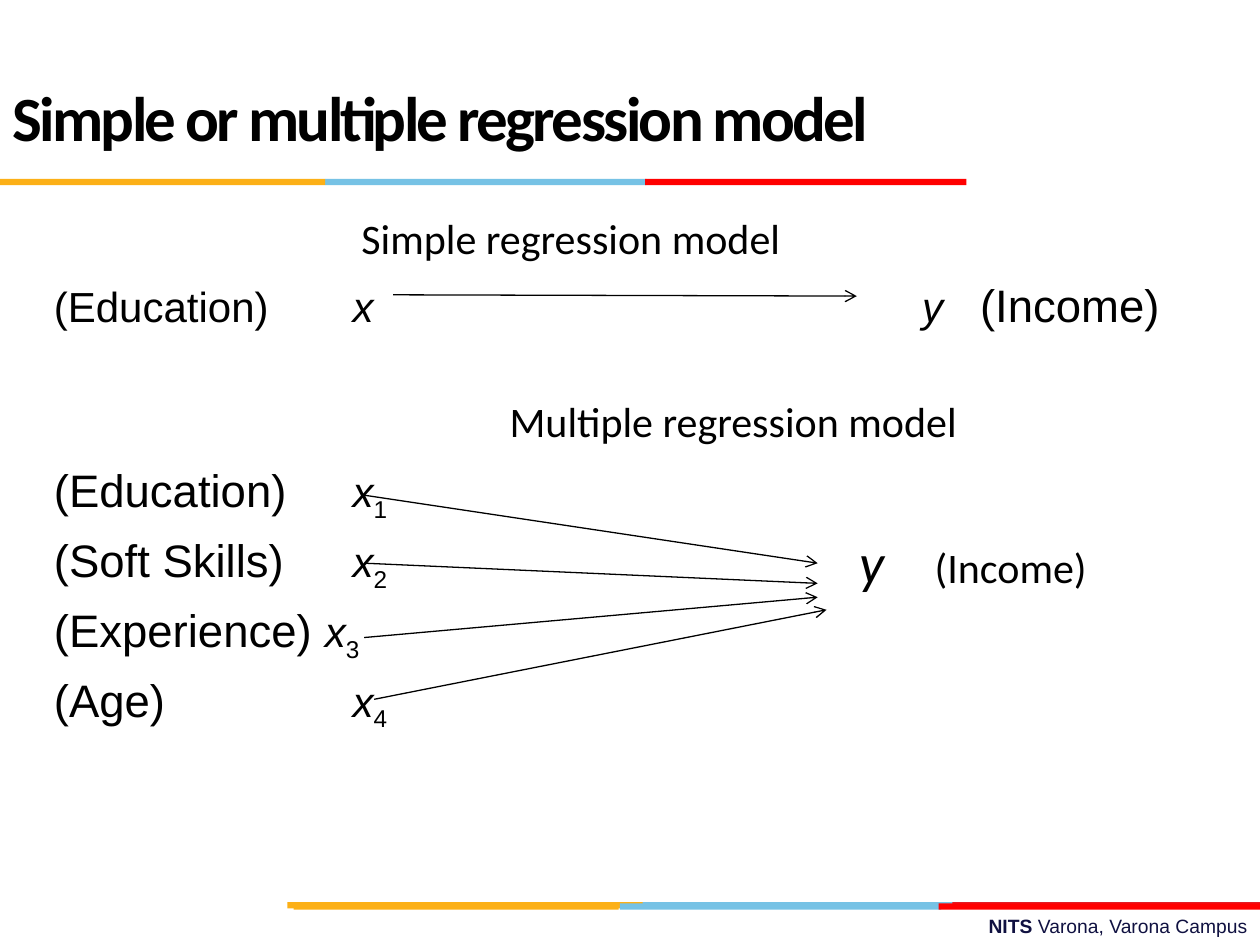
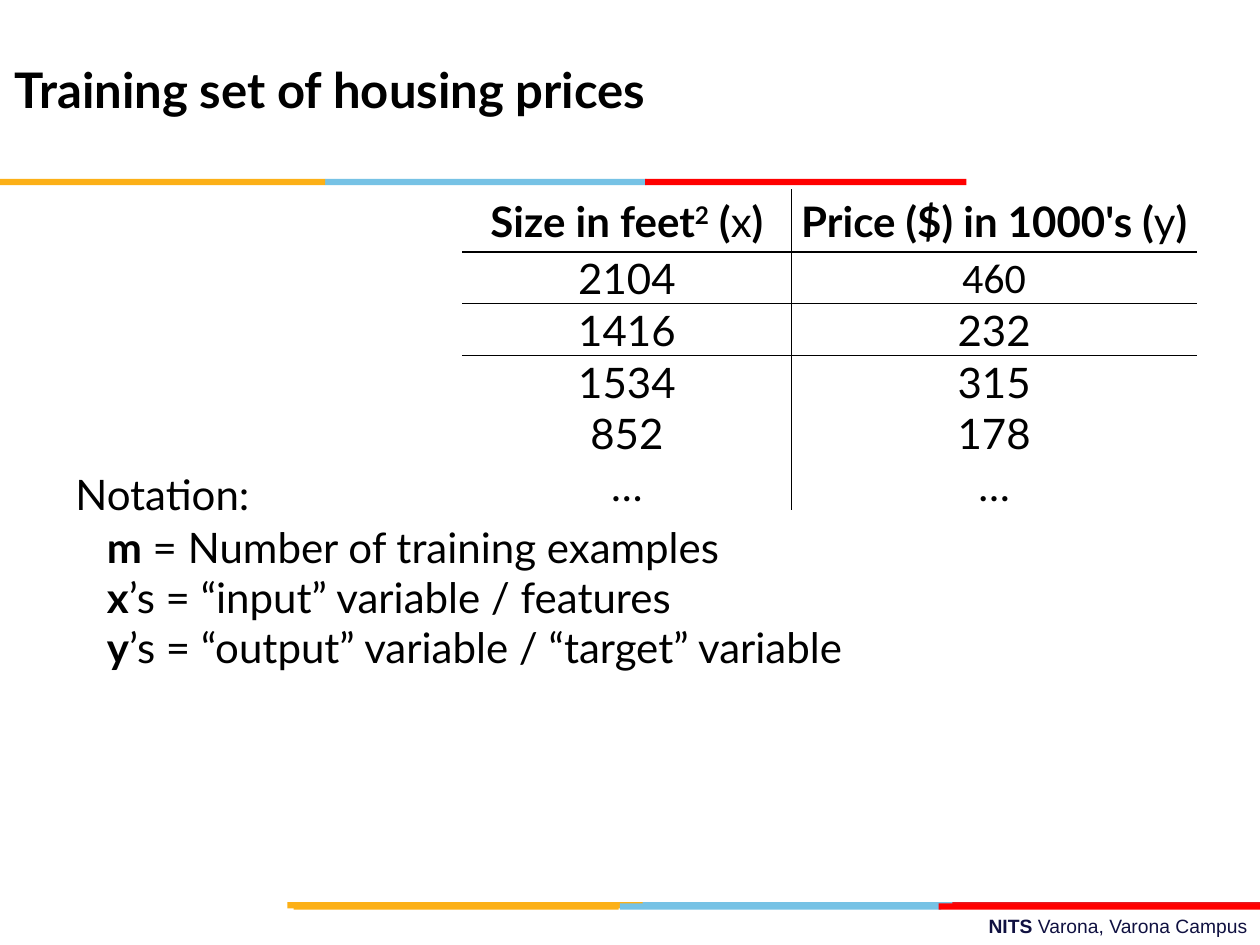
from lxml.etree import SubElement
from pptx import Presentation
from pptx.dml.color import RGBColor
from pptx.enum.shapes import MSO_CONNECTOR, MSO_SHAPE
from pptx.enum.text import MSO_ANCHOR, PP_ALIGN
from pptx.oxml.ns import qn
from pptx.util import Inches, Pt

BLACK = RGBColor(0x00, 0x00, 0x00)
NAVY = RGBColor(0x10, 0x11, 0x41)
YELLOW = RGBColor(0xFC, 0xB0, 0x17)
BLUE = RGBColor(0x76, 0xC2, 0xE5)
RED = RGBColor(0xFF, 0x00, 0x00)
CRIMSON = RGBColor(0xE3, 0x1C, 0x24)

BOLD, PLAIN, ITALIC = {"bold": True}, {"bold": False}, {"italic": True}
SYMBOL = {"italic": True, "size": 24}
SUBSCRIPT = {"size": 24, "baseline": -25000}

BAND_HEIGHT = 0.05
BANDS = [
    (7.16, [(5.06, 2.55, BLUE), (7.56, 2.44, CRIMSON), (2.28, 2.82, YELLOW)]),
    (7.17, [(4.92, 2.55, BLUE), (2.33, 2.58, YELLOW), (7.45, 2.55, RED)]),
    (1.42, [(2.58, 2.55, BLUE), (0, 2.58, YELLOW), (5.12, 2.55, RED)]),
]
FOOTER = [("NITS ", BOLD), ("Varona, Varona Campus", {})]

MODEL_TITLE = "Simple or multiple regression model"
SIMPLE_HEADING = "Simple regression model"
MULTIPLE_HEADING = "Multiple regression model"
SIMPLE_MODEL = [("(Education)\t", {}), ("x\ty\t", ITALIC), ("(Income)", {"size": 26})]
PREDICTORS = [("(Education)", "\t"), ("(Soft Skills)", "\t"), ("(Experience)", " "), ("(Age)", "\t")]
OUTCOME = [("y\t", {"italic": True, "size": 32}), ("(Income)", {})]
SYMBOL_TAB = 2.37
SIMPLE_TABS = [SYMBOL_TAB, 6.89, 7.35]
ARROWS = [
    ((3.12, 2.34), (6.8, 2.35)),
    ((2.89, 3.93), (6.49, 4.47)),
    ((2.89, 4.47), (6.49, 4.63)),
    ((2.89, 5.06), (6.49, 4.74)),
    ((2.97, 5.55), (6.56, 4.84)),
]

HOUSING_TITLE = "Training set of housing prices"
HOUSING_HEADER = [
    [("Size in feet", BOLD), ("2", {"bold": True, "baseline": 30000}), (" (", BOLD), ("x", PLAIN), (")", BOLD)],
    [("Price ($) in 1000's (", BOLD), ("y", PLAIN), (")", BOLD)],
]
HOUSES = [("2104", "460"), ("1416", "232"), ("1534", "315"), ("852", "178"), ("…", "…")]
COLUMN_WIDTHS = [2.61, 3.22]
HEADER_HEIGHT, ROW_HEIGHT = 0.5, 0.41
NO_TABLE_STYLE = "{2D5ABB26-0587-4C30-8999-92F81FD0307C}"
NOTATION = [
    [("Notation:", {})],
    [("m", BOLD), (" = Number of training examples", {})],
    [("x", BOLD), ("’s = “input” variable / features", {})],
    [("y", BOLD), ("’s = “output” variable / “target” variable", {})],
]


def write(paragraph, runs, font, size, color=BLACK, align=PP_ALIGN.LEFT, bold=None):
    paragraph.alignment = align
    paragraph.font.name = font
    paragraph.font.size = Pt(size)
    paragraph.font.bold = bold
    paragraph.font.color.rgb = color
    for text, style in runs:
        run = paragraph.add_run()
        run.text = text
        run.font.bold = style.get("bold")
        run.font.italic = style.get("italic")
        if "size" in style:
            run.font.size = Pt(style["size"])
        for attribute in ("baseline", "spc"):
            if attribute in style:
                run._r.get_or_add_rPr().set(attribute, str(style[attribute]))


def add_text(slide, box, paragraphs, font, size, tabs=(), anchor=MSO_ANCHOR.TOP, **options):
    frame = slide.shapes.add_textbox(*map(Inches, box)).text_frame
    frame.word_wrap = True
    frame.vertical_anchor = anchor
    for index, runs in enumerate(paragraphs):
        paragraph = frame.paragraphs[0] if index == 0 else frame.add_paragraph()
        if tabs:
            tab_list = SubElement(paragraph._p.get_or_add_pPr(), qn("a:tabLst"))
            for tab in tabs:
                SubElement(tab_list, qn("a:tab"), pos=str(Inches(tab)), algn="l")
        write(paragraph, runs, font, size, **options)
    return frame


def add_arrow(slide, start, end):
    arrow = slide.shapes.add_connector(MSO_CONNECTOR.STRAIGHT, *map(Inches, start + end))
    arrow.line.color.rgb = BLACK
    arrow.line.width = Pt(0.75)
    SubElement(arrow.line._get_or_add_ln(), qn("a:tailEnd"), type="arrow")
    SubElement(arrow._element.spPr, qn("a:effectLst"))


def add_base_slide(deck):
    slide = deck.slides.add_slide(deck.slide_layouts[6])
    add_text(slide, (3.58, 7.21, 6.42, 0.29), [FOOTER], "Arial", 11, color=NAVY, align=PP_ALIGN.RIGHT)
    for top, segments in BANDS:
        for left, width, color in segments:
            band = slide.shapes.add_shape(
                MSO_SHAPE.RECTANGLE, *map(Inches, (left, top, width, BAND_HEIGHT)))
            band.shadow.inherit = False
            band.fill.solid()
            band.fill.fore_color.rgb = color
            band.line.fill.background()
    return slide


def add_border(cell, side):
    line = SubElement(cell._tc.get_or_add_tcPr(), qn(f"a:ln{side}"), w=str(Pt(1)))
    fill = SubElement(line, qn("a:solidFill"))
    SubElement(fill, qn("a:srgbClr"), val=str(BLACK))


def add_housing_table(slide):
    rows = [HOUSING_HEADER] + [[[(value, {})] for value in house] for house in HOUSES]
    height = HEADER_HEIGHT + ROW_HEIGHT * len(HOUSES)
    table = slide.shapes.add_table(
        len(rows), len(COLUMN_WIDTHS), *map(Inches, (3.67, 1.5, sum(COLUMN_WIDTHS), height))).table
    table.first_row = table.horz_banding = False
    table._tbl.tblPr.find(qn("a:tableStyleId")).text = NO_TABLE_STYLE
    for column, width in zip(table.columns, COLUMN_WIDTHS):
        column.width = Inches(width)
    for r, row in enumerate(rows):
        table.rows[r].height = Inches(ROW_HEIGHT if r else HEADER_HEIGHT)
        for c, runs in enumerate(row):
            cell = table.cell(r, c)
            cell.margin_left = cell.margin_right = cell.margin_top = Inches(0.01)
            cell.margin_bottom = 0
            cell.vertical_anchor = MSO_ANCHOR.BOTTOM if r else MSO_ANCHOR.MIDDLE
            add_border(cell, "L" if c else "R")
            if r in (1, 2):
                add_border(cell, "T")
            if r in (0, 1):
                add_border(cell, "B")
            cell.fill.background()
            font = "Calibri" if (r, c) == (1, 1) else "Lato"
            write(cell.text_frame.paragraphs[0], runs, font, 24, align=PP_ALIGN.CENTER)


def build_model_slide(deck):
    slide = add_base_slide(deck)
    add_text(slide, (0, 0.3, 9, 1.25), [[(MODEL_TITLE, {"spc": -150})]], "Calibri", 36,
             anchor=MSO_ANCHOR.MIDDLE, bold=True)
    add_text(slide, (0.33, 2.15, 9, 0.52), [SIMPLE_MODEL], "Arial", 24, tabs=SIMPLE_TABS)
    predictors = [
        [(name + gap, {}), ("x", SYMBOL), (str(number), SUBSCRIPT)]
        for number, (name, gap) in enumerate(PREDICTORS, 1)
    ]
    frame = add_text(slide, (0.33, 3.62, 6, 2.3), predictors, "Arial", 26, tabs=[SYMBOL_TAB])
    for paragraph in frame.paragraphs:
        paragraph.space_after = Pt(5.2)
    for start, end in ARROWS:
        add_arrow(slide, start, end)
    add_text(slide, (6.72, 4.14, 2.5, 0.64), [OUTCOME], "Calibri", 24, tabs=[0.6])
    add_text(slide, (2.77, 1.64, 5.31, 0.51), [[(SIMPLE_HEADING, {})]], "Calibri", 24)
    add_text(slide, (3.55, 3.09, 4.54, 0.51), [[(MULTIPLE_HEADING, {})]], "Calibri", 24,
             align=PP_ALIGN.CENTER)


def build_housing_slide(deck):
    slide = add_base_slide(deck)
    frame = add_text(slide, (0.5, 3.67, 6.63, 1.73), NOTATION, "Lato", 24)
    heading, *definitions = frame.paragraphs
    heading.space_after = Pt(1.2)
    for definition in definitions:
        definition._p.get_or_add_pPr().set("marL", str(Inches(0.25)))
    add_housing_table(slide)
    add_text(slide, (0.02, 0.42, 7.58, 0.57), [[(HOUSING_TITLE, {})]], "Lato", 28, bold=True)


def main():
    deck = Presentation()
    deck.slide_width, deck.slide_height = Inches(10), Inches(7.5)
    build_model_slide(deck)
    build_housing_slide(deck)
    deck.save("out.pptx")


if __name__ == "__main__":
    main()
